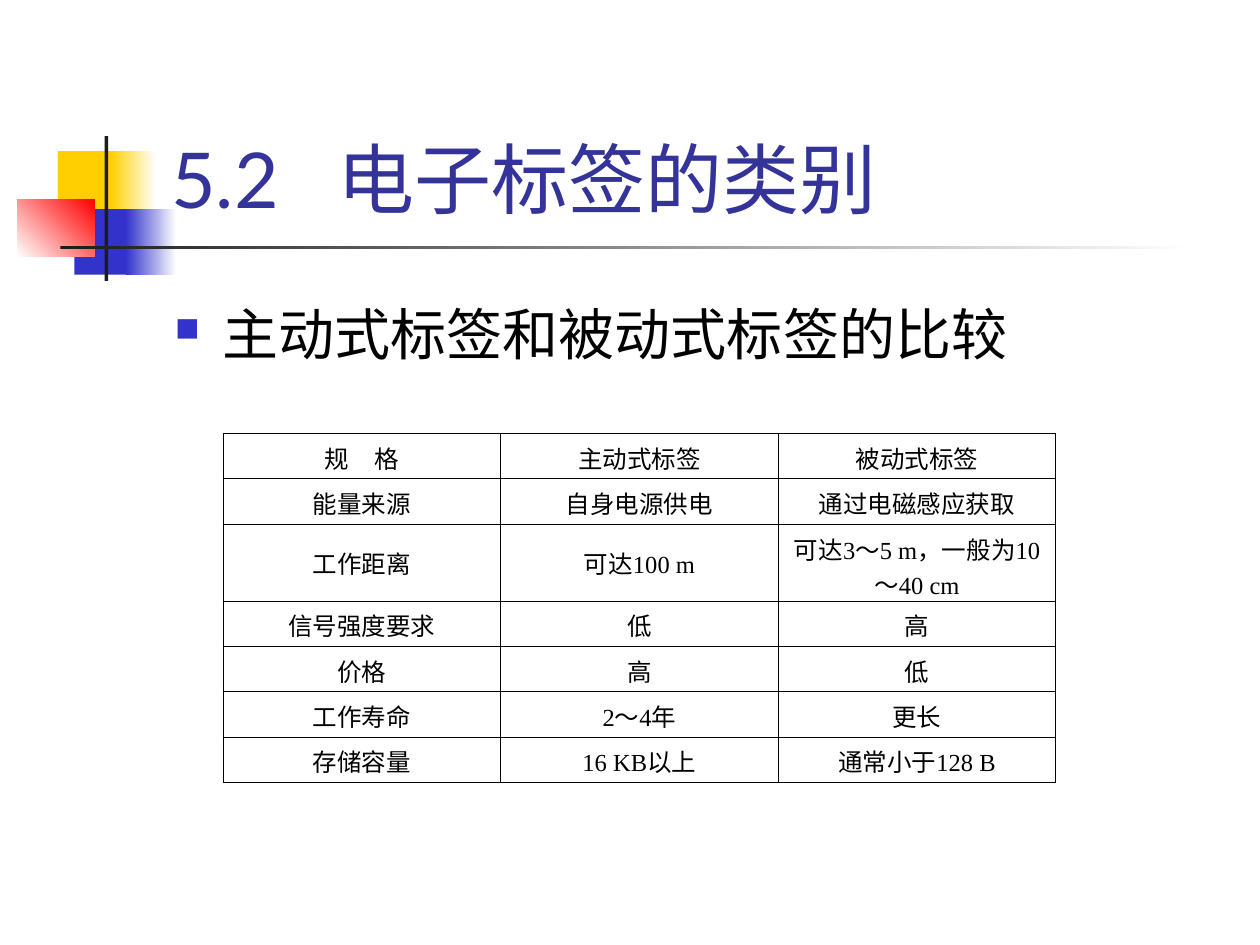
from lxml.etree import SubElement
from pptx import Presentation
from pptx.dml.color import RGBColor
from pptx.enum.shapes import MSO_SHAPE
from pptx.enum.text import MSO_ANCHOR, MSO_AUTO_SIZE, PP_ALIGN
from pptx.oxml import parse_xml
from pptx.oxml.ns import nsdecls, qn
from pptx.util import Inches, Pt

YELLOW = RGBColor(0xFF, 0xCF, 0x01)
BLUE = RGBColor(0x33, 0x33, 0xCC)
RED = RGBColor(0xFF, 0x00, 0x00)
DARK = RGBColor(0x1C, 0x1C, 0x1C)
WHITE = RGBColor(0xFF, 0xFF, 0xFF)
BLACK = RGBColor(0x00, 0x00, 0x00)
TITLE_BLUE = RGBColor(0x33, 0x33, 0x99)

HEADING_FONT = "Lato"
TABLE_FONT = "Times New Roman"
BORDER_WIDTH = Pt(0.45)

COMPARISON = [
    ("规　格", "主动式标签", "被动式标签"),
    ("能量来源", "自身电源供电", "通过电磁感应获取"),
    ("工作距离", "可达100 m", "可达3～5 m，一般为10～40 cm"),
    ("信号强度要求", "低", "高"),
    ("价格", "高", "低"),
    ("工作寿命", "2～4年", "更长"),
    ("存储容量", "16 KB以上", "通常小于128 B"),
]


def format_font(paragraph, name, size, color):
    for run in paragraph.runs:
        run.font.name = name
        run.font.size = Pt(size)
        run.font.bold = False
        run.font.color.rgb = color


def add_block(slide, left, top, width, height, start, end=None, angle=0):
    shape = slide.shapes.add_shape(MSO_SHAPE.RECTANGLE, left, top, width, height)
    shape.shadow.inherit = False
    shape.line.fill.background()
    if end is None:
        shape.fill.solid()
        shape.fill.fore_color.rgb = start
    else:
        shape.fill.gradient()
        shape.fill.gradient_angle = angle
        for stop, color in zip(shape.fill.gradient_stops, (start, end)):
            stop.color.rgb = color


def add_ornament(slide, left, top):
    blocks = [
        (0.32, 0.12, 0.48, 0.52, YELLOW),
        (0.74, 0.12, 0.36, 0.52, YELLOW, WHITE),
        (0.45, 0.58, 0.46, 0.52, BLUE),
        (0.86, 0.58, 0.4, 0.52, BLUE, WHITE),
        (0, 0.5, 0.61, 0.46, WHITE, RED, 45),
        (0.69, 0, 0.03, 1.15, DARK),
        (0.34, 0.87, 9, 0.03, DARK, WHITE),
    ]
    for x, y, width, height, *colors in blocks:
        add_block(slide, left + Inches(x), top + Inches(y),
                  Inches(width), Inches(height), *colors)


def place_title(slide, left, top, width, height):
    title = slide.shapes.title
    title.left, title.top, title.width, title.height = left, top, width, height
    text_frame = title.text_frame
    text_frame.text = "5.2\t电子标签的类别"
    text_frame.auto_size = MSO_AUTO_SIZE.NONE
    text_frame.vertical_anchor = MSO_ANCHOR.BOTTOM
    paragraph = text_frame.paragraphs[0]
    paragraph.alignment = PP_ALIGN.LEFT
    tab_list = SubElement(paragraph._p.get_or_add_pPr(), qn("a:tabLst"))
    SubElement(tab_list, qn("a:tab"), pos=str(Inches(1.32)), algn="l")
    format_font(paragraph, HEADING_FONT, 44, TITLE_BLUE)


def add_body(slide, left, top, width, height):
    text_frame = slide.shapes.add_textbox(left, top, width, height).text_frame
    text_frame.word_wrap = True
    text_frame.text = "主动式标签和被动式标签的比较"
    paragraph = text_frame.paragraphs[0]
    properties = paragraph._p.get_or_add_pPr()
    properties.set("marL", str(Inches(0.38)))
    properties.set("indent", str(-Inches(0.38)))
    bullet_color = SubElement(properties, qn("a:buClr"))
    SubElement(bullet_color, qn("a:srgbClr"), val=str(BLUE))
    SubElement(properties, qn("a:buSzPct"), val="60000")
    SubElement(properties, qn("a:buChar"), char="■")
    format_font(paragraph, HEADING_FONT, 32, BLACK)


def set_borders(cell):
    properties = cell._tc.get_or_add_tcPr()
    for index, side in enumerate(("lnL", "lnR", "lnT", "lnB")):
        properties.insert(index, parse_xml(
            f'<a:{side} {nsdecls("a")} w="{BORDER_WIDTH}"><a:solidFill>'
            f'<a:srgbClr val="{BLACK}"/></a:solidFill></a:{side}>'))


def add_comparison_table(slide, left, top, width, height):
    row_count, column_count = len(COMPARISON), len(COMPARISON[0])
    table = slide.shapes.add_table(
        row_count, column_count, left, top, width, height).table
    table.first_row = False
    table.horz_banding = False
    row_height = Inches(0.36)
    for row in table.rows:
        row.height = row_height
    table.rows[2].height = height - row_height * (row_count - 1)
    for row_index, texts in enumerate(COMPARISON):
        for column_index, text in enumerate(texts):
            cell = table.cell(row_index, column_index)
            cell.text_frame.text = text
            cell.vertical_anchor = MSO_ANCHOR.MIDDLE
            cell.fill.background()
            set_borders(cell)
            paragraph = cell.text_frame.paragraphs[0]
            paragraph.alignment = PP_ALIGN.CENTER
            format_font(paragraph, TABLE_FONT, 14, BLACK)


def main():
    presentation = Presentation()
    presentation.slide_width = Inches(10)
    presentation.slide_height = Inches(7.5)
    slide = presentation.slides.add_slide(presentation.slide_layouts[5])
    add_ornament(slide, Inches(0.14), Inches(1.08))
    place_title(slide, Inches(1.26), Inches(0.23), Inches(8.52), Inches(1.6))
    add_body(slide, Inches(1.29), Inches(2.33), Inches(8.5), Inches(4.88))
    add_comparison_table(slide, Inches(1.77), Inches(3.44), Inches(6.61), Inches(2.77))
    presentation.save("out.pptx")


if __name__ == "__main__":
    main()
